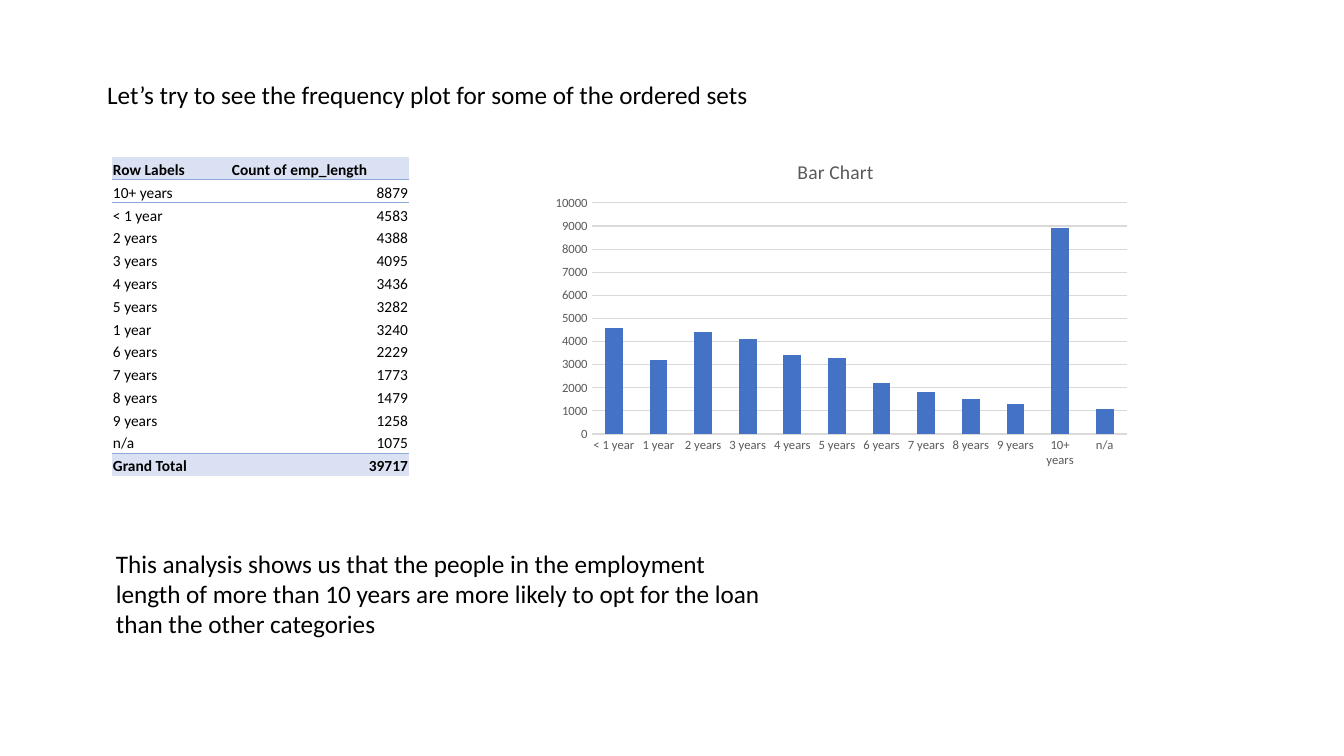
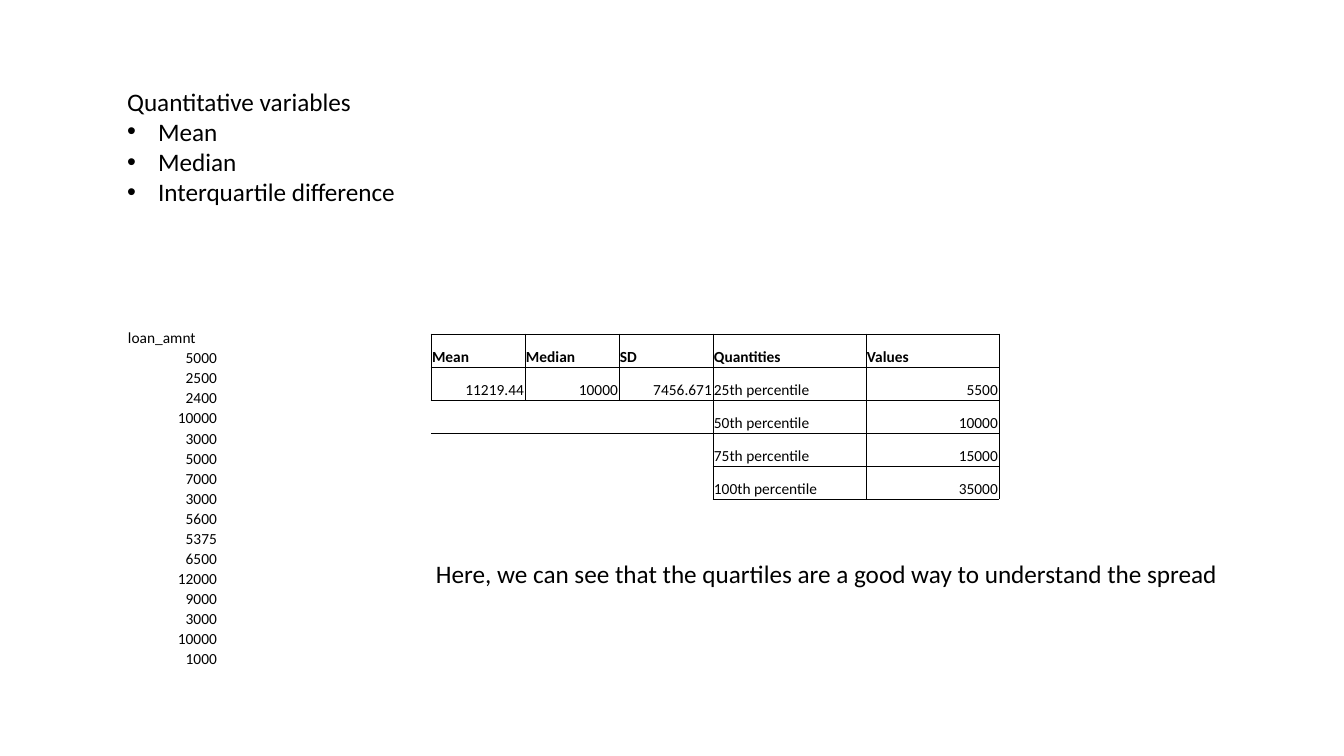
"""Two slides on loan applicants: employment length and loan amount spread."""
from dataclasses import dataclass, field
from typing import Any, Callable

import lxml.etree
import pptx
import pptx.chart.data
import pptx.dml.color
import pptx.enum.chart
import pptx.enum.text
import pptx.oxml.ns
import pptx.util

EMU_PER_PIXEL = 12192000 / 1344
FONT = "Calibri"
COLORS = {
    "text": "000000",
    "band": "D9E1F2",
    "rule": "8EA9DB",
    "bar": "4472C4",
    "label": "595959",
    "gridline": "D9D9D9",
}
PLAIN_TABLE_STYLE = "{2D5ABB26-0587-4C30-8999-92F81FD0307C}"
ANCHOR = pptx.enum.text.MSO_ANCHOR
ALIGN = pptx.enum.text.PP_ALIGN

FRAME_FORMAT = {
    "word_wrap": True,
    "auto_size": pptx.enum.text.MSO_AUTO_SIZE.NONE,
    "vertical_anchor": ANCHOR.TOP,
}
LINE_FORMAT = {
    "alignment": ALIGN.LEFT,
    "line_spacing": 1.0,
    "space_before": pptx.util.Pt(0),
}
TABLE_FORMAT = {"first_row": False, "horz_banding": False}
CELL_FORMAT = {
    "vertical_anchor": ANCHOR.BOTTOM,
    "margin_left": pptx.util.Inches(0.01),
    "margin_right": pptx.util.Inches(0.01),
    "margin_top": pptx.util.Inches(0.01),
    "margin_bottom": 0,
}
AXIS_FORMAT = {
    "major_tick_mark": pptx.enum.chart.XL_TICK_MARK.NONE,
    "minor_tick_mark": pptx.enum.chart.XL_TICK_MARK.NONE,
}
SCALE_FORMAT = {
    "minimum_scale": 0,
    "maximum_scale": 10000,
    "major_unit": 1000,
    "has_major_gridlines": True,
}

EMPLOYMENT_COUNTS = {
    "10+ years": 8879, "< 1 year": 4583, "2 years": 4388, "3 years": 4095,
    "4 years": 3436, "5 years": 3282, "1 year": 3240, "6 years": 2229,
    "7 years": 1773, "8 years": 1479, "9 years": 1258, "n/a": 1075,
}
EMPLOYMENT_ORDER = ["< 1 year", "1 year", *(f"{n} years" for n in range(2, 10)),
                    "10+ years", "n/a"]
EMPLOYMENT_ROWS = [
    ["Row Labels", "Count of emp_length"],
    *([length, str(count)] for length, count in EMPLOYMENT_COUNTS.items()),
    ["Grand Total", str(sum(EMPLOYMENT_COUNTS.values()))],
]
EMPLOYMENT_RULES = {0: "B", 1: "T", 12: "B", 13: "T"}
LOAN_AMOUNTS = [5000, 2500, 2400, 10000, 3000, 5000, 7000, 3000,
                5600, 5375, 6500, 12000, 9000, 3000, 10000, 1000]
SUMMARY_ROWS = [
    ["Mean", "Median", "SD", "Quantities", "Values"],
    ["11219.44", "10000", "7456.671", "25th percentile", "5500"],
    ["", "", "", "50th percentile", "10000"],
    ["", "", "", "75th percentile", "15000"],
    ["", "", "", "100th percentile", "35000"],
]


@dataclass(frozen=True)
class Box:
    """A place on the slide, in pixels."""

    left: int
    top: int
    width: int
    height: int

    def emu(self) -> tuple[int, ...]:
        """Return left, top, width and height in EMU."""
        return tuple(map(px, (self.left, self.top, self.width, self.height)))


def no_edges(row: int, column: int) -> str:
    """Give a cell no borders."""
    return ""


@dataclass(frozen=True)
class Grid:
    """A table: its rows, column widths, emphasis and cell borders."""

    box: Box
    widths: list[int]
    rows: list[list[str]]
    bold_rows: set[int] = field(default_factory=set)
    banded_rows: set[int] = field(default_factory=set)
    edges: Callable[[int, int], str] = no_edges
    edge_color: str = "text"


def px(pixels: float) -> int:
    """Turn pixels into EMU."""
    return round(pixels * EMU_PER_PIXEL)


def rgb(name: str) -> pptx.dml.color.RGBColor:
    """Look up a named colour."""
    return pptx.dml.color.RGBColor.from_string(COLORS[name])


def apply(target: Any, values: dict[str, Any]) -> None:
    """Set every attribute in a dict of format values."""
    for name, value in values.items():
        setattr(target, name, value)


def style_font(font: Any, size: float, color: str = "text", bold: bool = False) -> None:
    """Give a font the shared typeface with a size, colour and weight."""
    apply(font, {"name": FONT, "size": pptx.util.Pt(size), "bold": bold})
    font.color.rgb = rgb(color)


def write(shape: Any, box: Box, lines: list[str], **frame: Any) -> None:
    """Place a text shape and fill it with 18-point lines."""
    apply(shape, dict(zip(("left", "top", "width", "height"), box.emu())))
    apply(shape.text_frame, FRAME_FORMAT | frame)
    shape.text_frame.text = "\n".join(lines)
    for paragraph in shape.text_frame.paragraphs:
        apply(paragraph, LINE_FORMAT)
        style_font(paragraph.runs[0].font, 18)


def add_note(slide: Any, box: Box, text: str) -> None:
    """Add a conclusion in a text box."""
    write(slide.shapes.add_textbox(*box.emu()), box, [text])


def add_bullets(paragraphs: Any, indent: int) -> None:
    """Give paragraphs a round bullet with a hanging indent."""
    for paragraph in paragraphs:
        properties = paragraph._p.get_or_add_pPr()
        properties.set("marL", str(px(indent)))
        properties.set("indent", str(-px(indent)))
        for tag, attribute, value in (("a:buFont", "typeface", "Arial"),
                                      ("a:buChar", "char", "•")):
            lxml.etree.SubElement(properties, pptx.oxml.ns.qn(tag), {attribute: value})


def add_edges(cell: Any, sides: str, color: str) -> None:
    """Draw half-point borders on the given sides of a cell."""
    qn = pptx.oxml.ns.qn
    properties = cell._tc.get_or_add_tcPr()
    for side in (side for side in "LRTB" if side in sides):
        edge = lxml.etree.SubElement(properties, qn(f"a:ln{side}"),
                                     {"w": str(pptx.util.Pt(0.5))})
        fill = lxml.etree.SubElement(edge, qn("a:solidFill"))
        lxml.etree.SubElement(fill, qn("a:srgbClr"), {"val": COLORS[color]})


def fill_cell(cell: Any, grid: Grid, row: int, column: int) -> None:
    """Write and format one table cell; numbers go to the right."""
    text = grid.rows[row][column]
    apply(cell, CELL_FORMAT)
    add_edges(cell, grid.edges(row, column), grid.edge_color)
    if row in grid.banded_rows:
        cell.fill.solid()
        cell.fill.fore_color.rgb = rgb("band")
    else:
        cell.fill.background()
    if text:
        cell.text = text
        paragraph = cell.text_frame.paragraphs[0]
        is_number = text.replace(".", "").isdigit()
        paragraph.alignment = ALIGN.RIGHT if is_number else ALIGN.LEFT
        style_font(paragraph.runs[0].font, 11, bold=row in grid.bold_rows)


def add_grid(slide: Any, grid: Grid) -> None:
    """Add a table with rows of equal height."""
    frame = slide.shapes.add_table(len(grid.rows), len(grid.widths), *grid.box.emu())
    table = frame.table
    apply(table, TABLE_FORMAT)
    table._tbl.tblPr.find(pptx.oxml.ns.qn("a:tableStyleId")).text = PLAIN_TABLE_STYLE
    for column, width in zip(table.columns, grid.widths):
        column.width = px(width)
    for row_index, row in enumerate(table.rows):
        row.height = px(grid.box.height / len(grid.rows))
        for column_index, cell in enumerate(row.cells):
            fill_cell(cell, grid, row_index, column_index)


def set_layout(element: Any, index: int, **values: Any) -> None:
    """Fix the place of a chart part as fractions of the chart."""
    qn = pptx.oxml.ns.qn
    for previous in element.findall(qn("c:layout")):
        element.remove(previous)
    layout = lxml.etree.Element(qn("c:layout"))
    element.insert(index, layout)
    manual = lxml.etree.SubElement(layout, qn("c:manualLayout"))
    for tag, value in values.items():
        lxml.etree.SubElement(manual, qn(f"c:{tag}"), {"val": str(value)})


def add_bar_chart(slide: Any, box: Box) -> None:
    """Add the employment length chart, with counts to the nearest hundred."""
    data = pptx.chart.data.CategoryChartData()
    data.categories = EMPLOYMENT_ORDER
    data.add_series("Series 1", [round(EMPLOYMENT_COUNTS[length], -2)
                                 for length in EMPLOYMENT_ORDER])
    kind = pptx.enum.chart.XL_CHART_TYPE.COLUMN_STACKED
    chart = slide.shapes.add_chart(kind, *box.emu(), data).chart
    apply(chart, {"has_legend": False, "has_title": True})
    style_font(chart.font, 10)

    heading = chart.chart_title.text_frame
    heading.text = "Bar Chart"
    style_font(heading.paragraphs[0].runs[0].font, 14, "label")
    set_layout(chart.chart_title._element, 1, xMode="edge", yMode="edge", x=0.42, y=0.04)

    plot = chart.plots[0]
    apply(plot, {"gap_width": 150, "overlap": 100, "vary_by_categories": False})
    bars = plot.series[0].format.fill
    bars.solid()
    bars.fore_color.rgb = rgb("bar")
    set_layout(plot._element.getparent(), 0, layoutTarget="inner", xMode="edge",
               yMode="edge", x=0.08, y=0.185, w=0.9, h=0.69)

    for axis in (chart.category_axis, chart.value_axis):
        apply(axis, AXIS_FORMAT)
        axis.format.line.fill.background()
        style_font(axis.tick_labels.font, 9, "label")
    apply(chart.value_axis, SCALE_FORMAT)
    gridline = chart.value_axis.major_gridlines.format.line
    gridline.width = pptx.util.Pt(0.75)
    gridline.color.rgb = rgb("gridline")


def summary_edges(row: int, column: int) -> str:
    """Box the filled cells and close the border towards the empty ones."""
    if SUMMARY_ROWS[row][column]:
        return "LRTB"
    return "T" * (row == 2) + "R" * (column == 2)


def build_employment(deck: Any) -> None:
    """Build the slide on employment length."""
    slide = deck.slides.add_slide(deck.slide_layouts.get_by_name("Title Only"))
    write(slide.shapes.title, Box(97, 74, 1121, 102),
          ["Let’s try to see the frequency plot for some of the ordered sets"])
    add_grid(slide, Grid(Box(112, 157, 297, 319), [119, 178], EMPLOYMENT_ROWS,
                         bold_rows={0, 13}, banded_rows={0, 13},
                         edges=lambda row, column: EMPLOYMENT_RULES.get(row, ""),
                         edge_color="rule"))
    add_bar_chart(slide, Box(544, 141, 595, 335))
    add_note(slide, Box(106, 543, 674, 102),
             "This analysis shows us that the people in the employment length of more "
             "than 10 years are more likely to opt for the loan than the other categories")


def build_quantities(deck: Any) -> None:
    """Build the slide on quantitative variables."""
    slide = deck.slides.add_slide(deck.slide_layouts.get_by_name("Title and Content"))
    write(slide.shapes.title, Box(117, 81, 1121, 35), ["Quantitative variables"],
          margin_bottom=0)
    measures = slide.placeholders[1]
    write(measures, Box(117, 116, 1121, 97),
          ["Mean", "Median", "Interquartile difference"], margin_top=0)
    add_bullets(measures.text_frame.paragraphs, indent=31)
    add_grid(slide, Grid(Box(127, 328, 91, 339), [91],
                         [["loan_amnt"], *([str(amount)] for amount in LOAN_AMOUNTS)]))
    add_grid(slide, Grid(Box(431, 334, 568, 165), [94, 94, 94, 153, 133], SUMMARY_ROWS,
                         bold_rows={0}, edges=summary_edges))
    add_note(slide, Box(426, 553, 817, 40),
             "Here, we can see that the quartiles are a good way to understand the spread")


presentation = pptx.Presentation()
apply(presentation, {"slide_width": px(1344), "slide_height": px(756)})
build_employment(presentation)
build_quantities(presentation)
presentation.save("out.pptx")
